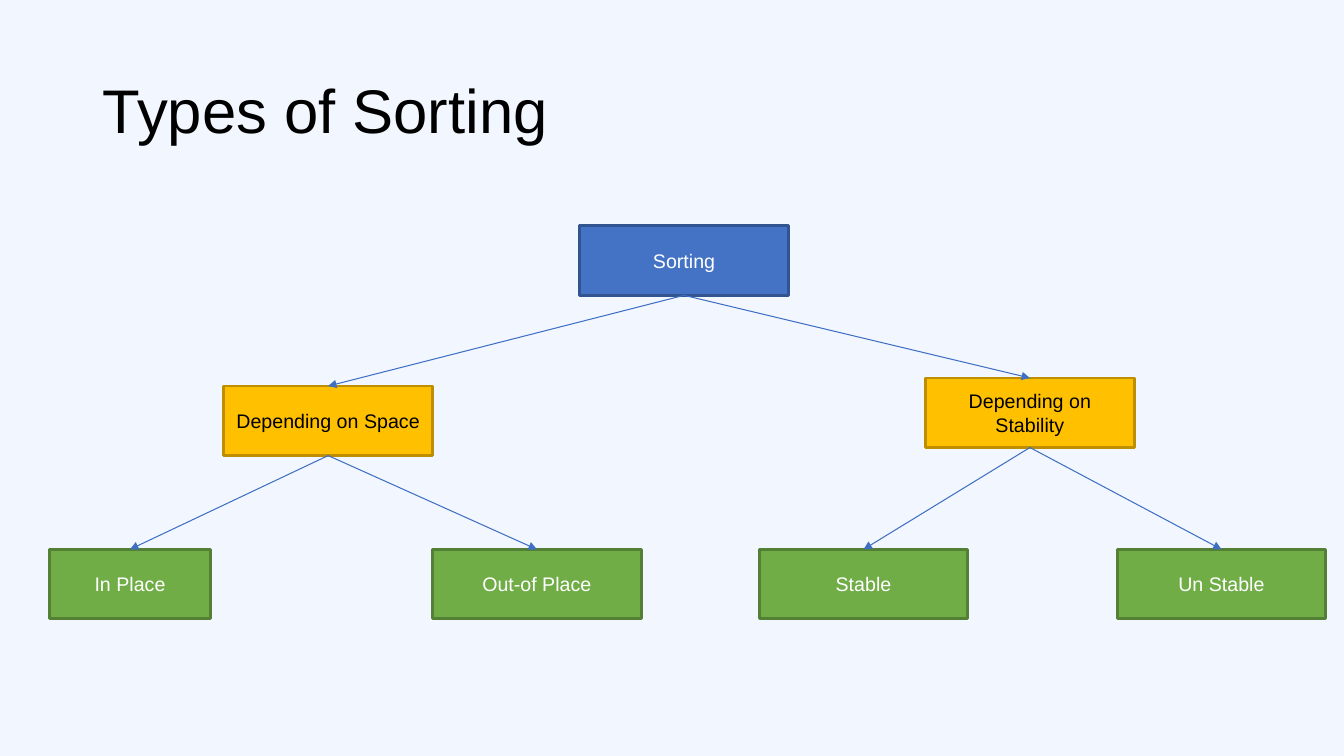
import pptx
import pptx.dml.color
import pptx.enum.shapes
import pptx.enum.text
import pptx.oxml
import pptx.oxml.ns
import pptx.util

RGBColor = pptx.dml.color.RGBColor
Inches = pptx.util.Inches
Pt = pptx.util.Pt

BACKGROUND = RGBColor(0xF2, 0xF6, 0xFF)
BLACK = RGBColor(0x00, 0x00, 0x00)
WHITE = RGBColor(0xFF, 0xFF, 0xFF)
ARROW = RGBColor(0x3F, 0x6F, 0xC3)

# Fill, outline and text colour of each level of the tree
LEVEL_COLORS = [
    (RGBColor(0x44, 0x72, 0xC4), RGBColor(0x32, 0x54, 0x91), WHITE),
    (RGBColor(0xFF, 0xC0, 0x00), RGBColor(0xBD, 0x8E, 0x00), BLACK),
    (RGBColor(0x70, 0xAD, 0x47), RGBColor(0x53, 0x80, 0x35), WHITE),
]
FONT = "Arial"
WIDTH, HEIGHT = 13.33, 7.5
BOX_WIDTH, NARROW_WIDTH, BOX_HEIGHT = 2.07, 1.6, 0.69

TITLE = "Types of Sorting"
# Label, parent, level, left, top, width
NODES = [
    ("Sorting", None, 0, 5.75, 2.24, BOX_WIDTH),
    ("Depending on Space", "Sorting", 1, 2.22, 3.83, BOX_WIDTH),
    ("Depending on Stability", "Sorting", 1, 9.18, 3.75, BOX_WIDTH),
    ("In Place", "Depending on Space", 2, 0.49, 5.45, NARROW_WIDTH),
    ("Out-of Place", "Depending on Space", 2, 4.29, 5.45, BOX_WIDTH),
    ("Stable", "Depending on Stability", 2, 7.53, 5.45, BOX_WIDTH),
    ("Un Stable", "Depending on Stability", 2, 11.08, 5.45, BOX_WIDTH),
]


def style_text(paragraph, size, color, alignment):
    paragraph.alignment = alignment
    paragraph.font.name = FONT
    paragraph.font.size = Pt(size)
    paragraph.font.color.rgb = color


def add_title(slide):
    title = slide.shapes.title
    title.left, title.top = Inches(0.92), Inches(0.4)
    title.width, title.height = Inches(11.5), Inches(1.45)
    frame = title.text_frame
    frame.text = TITLE
    frame.auto_size = pptx.enum.text.MSO_AUTO_SIZE.NONE
    frame.vertical_anchor = pptx.enum.text.MSO_ANCHOR.MIDDLE
    frame.paragraphs[0].line_spacing = 0.9
    style_text(frame.paragraphs[0], 44, BLACK, pptx.enum.text.PP_ALIGN.LEFT)


def add_node(slide, label, level, left, top, width):
    fill, outline, text_color = LEVEL_COLORS[level]
    box = slide.shapes.add_shape(
        pptx.enum.shapes.MSO_SHAPE.RECTANGLE,
        Inches(left), Inches(top), Inches(width), Inches(BOX_HEIGHT))
    box.shadow.inherit = False
    box.fill.solid()
    box.fill.fore_color.rgb = fill
    box.line.color.rgb = outline
    box.line.width = Pt(2)
    frame = box.text_frame
    frame.text = label
    frame.word_wrap = True
    frame.vertical_anchor = pptx.enum.text.MSO_ANCHOR.MIDDLE
    style_text(frame.paragraphs[0], 14, text_color, pptx.enum.text.PP_ALIGN.CENTER)
    return box


def add_arrow(slide, parent, child):
    """Join the bottom of the parent to the top of the child."""
    arrow = slide.shapes.add_connector(
        pptx.enum.shapes.MSO_CONNECTOR.STRAIGHT, 0, 0, 0, 0)
    arrow.begin_connect(parent, 2)
    arrow.end_connect(child, 0)
    arrow.line.color.rgb = ARROW
    arrow.line.width = Pt(0.75)
    line = arrow.line._get_or_add_ln()
    head = pptx.oxml.xmlchemy.OxmlElement("a:tailEnd")
    head.set("type", "triangle")
    line.append(head)
    line.addnext(pptx.oxml.xmlchemy.OxmlElement("a:effectLst"))


def main():
    presentation = pptx.Presentation()
    presentation.slide_width = Inches(WIDTH)
    presentation.slide_height = Inches(HEIGHT)
    slide = presentation.slides.add_slide(presentation.slide_layouts[5])
    slide.background.fill.solid()
    slide.background.fill.fore_color.rgb = BACKGROUND

    add_title(slide)
    boxes = {label: add_node(slide, label, *placement)
             for label, parent, *placement in NODES}
    for label, parent, *placement in NODES:
        if parent:
            add_arrow(slide, boxes[parent], boxes[label])
    presentation.save("out.pptx")


if __name__ == "__main__":
    main()
